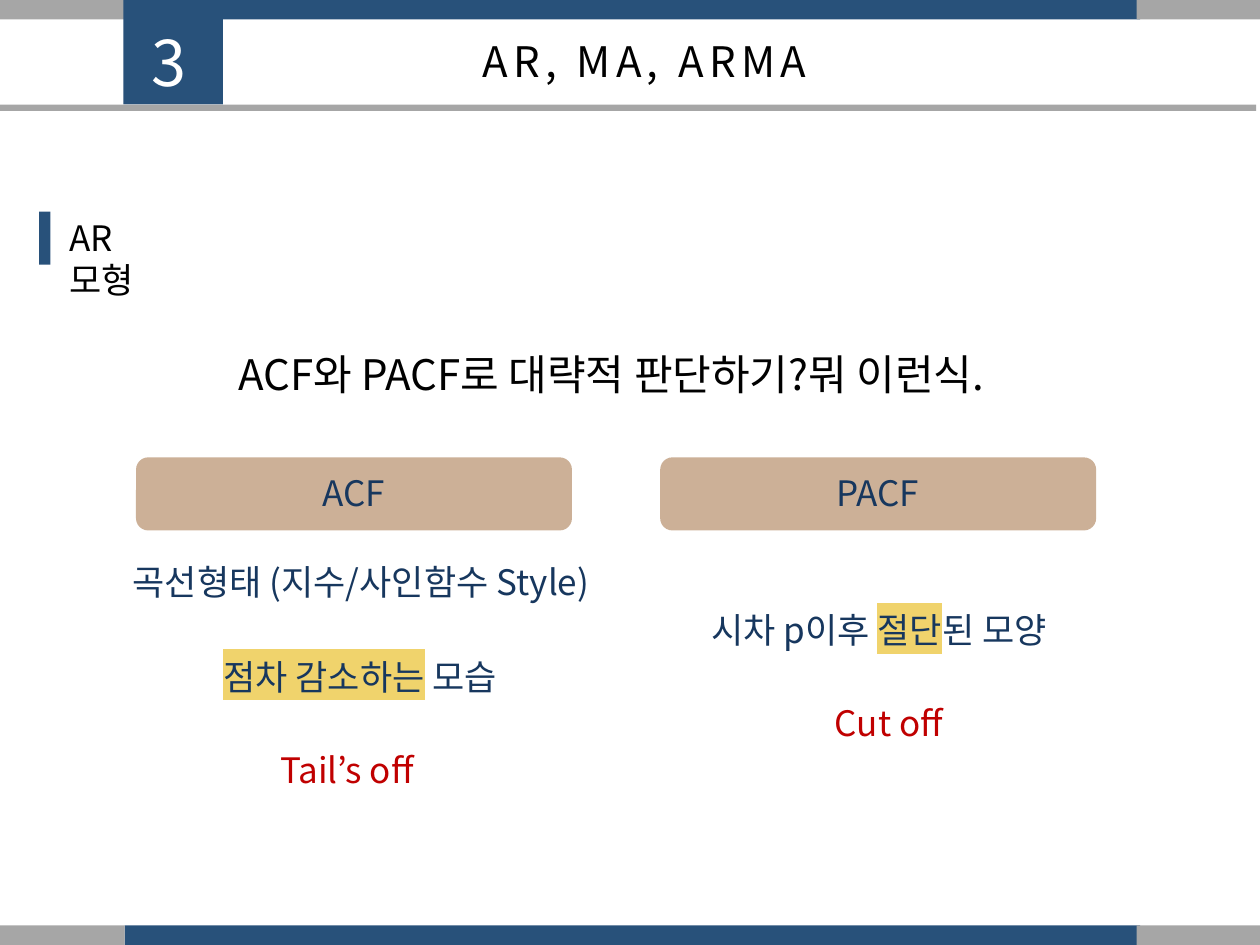
from lxml import etree
from pptx import Presentation
from pptx.dml.color import RGBColor
from pptx.enum.shapes import MSO_SHAPE
from pptx.enum.text import MSO_ANCHOR, MSO_AUTO_SIZE, PP_ALIGN
from pptx.oxml.ns import qn
from pptx.util import Inches, Pt

RECTANGLE = MSO_SHAPE.RECTANGLE
ROUNDED = MSO_SHAPE.ROUNDED_RECTANGLE
LEFT, CENTER = PP_ALIGN.LEFT, PP_ALIGN.CENTER
TOP = MSO_ANCHOR.TOP
GROW = MSO_AUTO_SIZE.SHAPE_TO_FIT_TEXT

BLUE = RGBColor(0x28, 0x51, 0x7A)
GRAY = RGBColor(0xA6, 0xA6, 0xA6)
TAN = RGBColor(0xCC, 0xB0, 0x97)
NAVY = RGBColor(0x17, 0x37, 0x5E)
RED = RGBColor(0xC0, 0x00, 0x00)
BLACK = RGBColor(0x00, 0x00, 0x00)
WHITE = RGBColor(0xFF, 0xFF, 0xFF)
YELLOW = RGBColor(0xF0, 0xD3, 0x6C)

# The slide is a grid of 100 columns and 75 rows
COLUMNS, ROWS = 100, 75
CELL = Inches(0.1)
BAR_ROWS = 1.55
TITLE_ONLY = 5


class SlideBuilder:
    """Holds the style and the current slide."""

    font_name = "Noto Sans CJK KR"

    def __init__(self, presentation):
        layout = presentation.slide_layouts[TITLE_ONLY]
        self.slide = presentation.slides.add_slide(layout)

    def box(self, column, row, columns, rows):
        return [round(value * CELL) for value in (column, row, columns, rows)]

    def block(self, place, color, kind=RECTANGLE):
        shape = self.slide.shapes.add_shape(kind, *self.box(*place))
        shape.shadow.inherit = False
        shape.fill.solid()
        shape.fill.fore_color.rgb = color
        shape.line.fill.background()

    def title(self, place, text):
        shape = self.slide.shapes.title
        shape.left, shape.top, shape.width, shape.height = self.box(*place)
        self.fill_text(shape, [text], 24, BLACK, CENTER, spacing=3)

    def text(self, place, *parts, size=20, color=NAVY, align=CENTER, spacing=0, marked=None):
        shape = self.slide.shapes.add_textbox(*self.box(*place))
        self.fill_text(shape, parts, size, color, align, spacing, marked)

    def fill_text(self, shape, parts, size, color, align, spacing=0, marked=None):
        frame = shape.text_frame
        frame.word_wrap = True
        frame.auto_size = GROW
        frame.vertical_anchor = TOP
        paragraph = frame.paragraphs[0]
        paragraph.alignment = align
        for part in parts:
            run = paragraph.add_run()
            run.text = part
            if part == marked:
                self.highlight(run)
        font = paragraph.font
        font.size = Pt(size)
        font.color.rgb = color
        font.name = self.font_name
        # East Asian typeface and letter spacing
        defaults = paragraph._p.pPr.find(qn("a:defRPr"))
        etree.SubElement(defaults, qn("a:ea"), typeface=self.font_name)
        if spacing:
            defaults.set("spc", str(spacing * 100))

    def highlight(self, run):
        properties = run._r.get_or_add_rPr()
        mark = etree.SubElement(properties, qn("a:highlight"))
        etree.SubElement(mark, qn("a:srgbClr"), val=str(YELLOW))


def main():
    presentation = Presentation()
    presentation.slide_width = COLUMNS * CELL
    presentation.slide_height = ROWS * CELL
    builder = SlideBuilder(presentation)

    # Bars along the top and bottom edges
    for row in (0, ROWS - BAR_ROWS):
        builder.block((9.9, row, 80.6, BAR_ROWS), BLUE)
        builder.block((0, row, 9.9, BAR_ROWS), GRAY)
        builder.block((90.2, row, 9.8, BAR_ROWS), GRAY)

    # Header with section number
    builder.block((9.8, 0, 7.9, 8.3), BLUE)
    builder.block((-0.5, 8.3, 100.2, 0.5), GRAY)
    builder.text((9.1, 1.4, 8.7, 7.1), "3", size=36, color=WHITE, spacing=3)
    builder.title((30.3, 2.3, 41.7, 5), "AR, MA, ARMA")

    # Section heading and question
    builder.block((3.1, 16.8, 0.9, 4.2), BLUE)
    builder.text((4.5, 16.7, 10.3, 4.4), "AR모형", color=BLACK, align=LEFT)
    builder.text((17.9, 27.2, 61.2, 5), "ACF와 PACF로 대략적 판단하기?뭐 이런식.",
                 size=24, color=BLACK)

    # Column headings
    for column, name in ((10.8, "ACF"), (52.4, "PACF")):
        builder.block((column, 36.3, 34.6, 5.8), TAN, ROUNDED)
        builder.text((column + 7.4, 36.9, 19.7, 4.4), name)

    # ACF column
    builder.text((8.6, 44, 40.1, 4.4), "곡선형태 (지수/사인함수 Style)")
    builder.text((15.9, 51.5, 25.4, 4.4), "점차 감소하는", " 모습", marked="점차 감소하는")
    builder.text((17.7, 58.9, 19.7, 4.4), "Tail’s off", color=RED)

    # PACF column
    builder.text((54.5, 47.8, 30.5, 4.4), "시차 p이후 ", "절단", "된 모양", marked="절단")
    builder.text((54.5, 55.2, 32.1, 4.4), "Cut off", color=RED)

    presentation.save("out.pptx")


if __name__ == "__main__":
    main()
